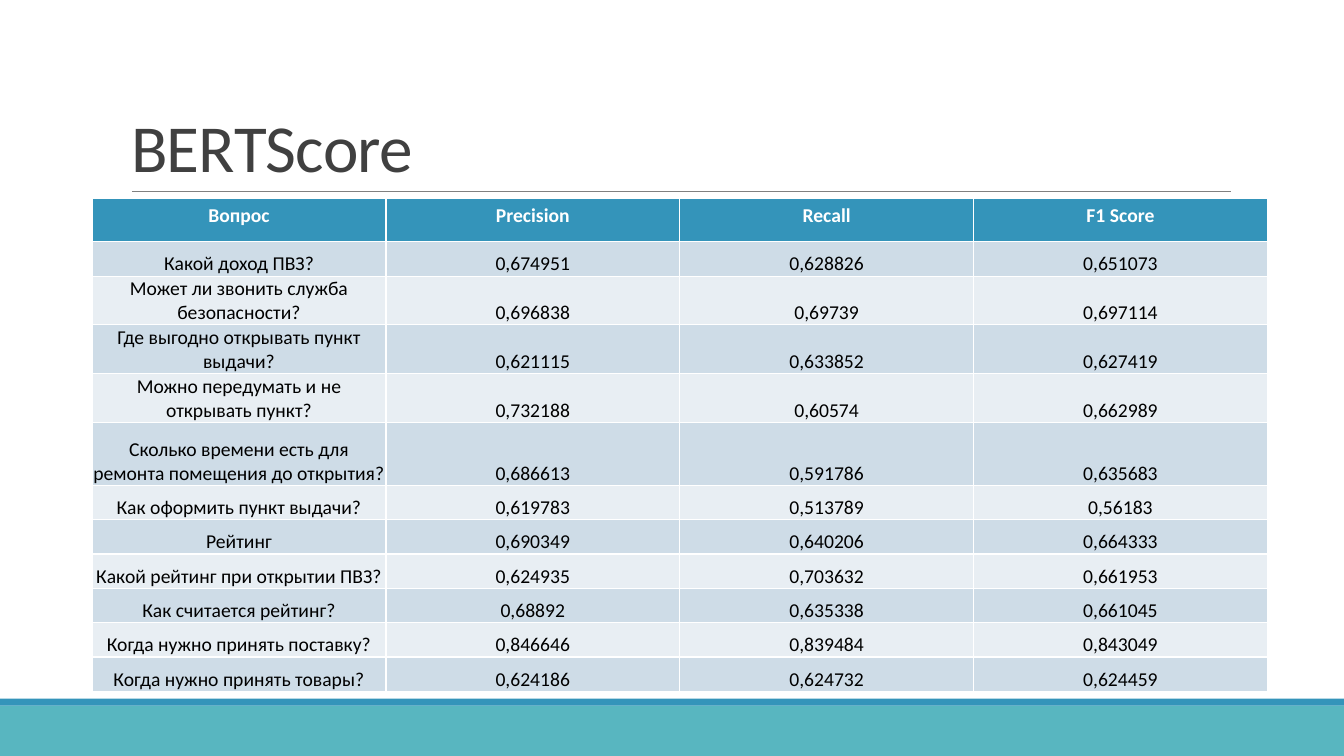
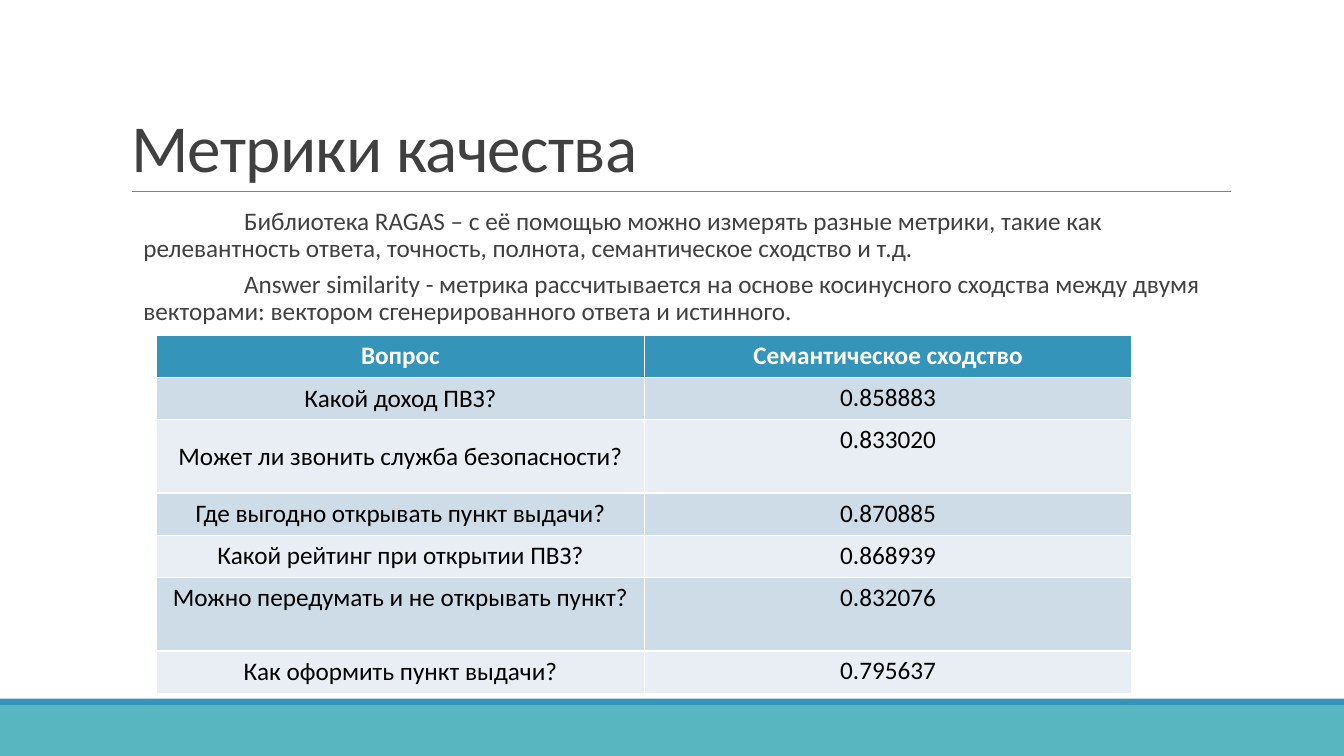
from dataclasses import dataclass

from lxml.etree import SubElement
from pptx import Presentation
from pptx.dml.color import RGBColor
from pptx.enum.shapes import MSO_CONNECTOR, MSO_SHAPE
from pptx.enum.text import MSO_ANCHOR, MSO_AUTO_SIZE, PP_ALIGN
from pptx.oxml.ns import qn
from pptx.presentation import Presentation as Deck
from pptx.slide import Slide
from pptx.text.text import Font
from pptx.util import Pt

WHITE = RGBColor(0xFF, 0xFF, 0xFF)
BLACK = RGBColor(0x00, 0x00, 0x00)
DARK_GRAY = RGBColor(0x40, 0x40, 0x40)
RULE_GRAY = RGBColor(0x80, 0x80, 0x80)
BLUE = RGBColor(0x34, 0x94, 0xBA)
TEAL = RGBColor(0x58, 0xB6, 0xC0)
ROW_TINTS = (RGBColor(0xCE, 0xDC, 0xE7), RGBColor(0xE8, 0xEE, 0xF3))

FONT = "Calibri"
SLIDE_WIDTH, SLIDE_HEIGHT = 960, 540
TITLE_ONLY = 5


@dataclass(frozen=True)
class Band:
    top: float
    height: float
    color: RGBColor


@dataclass(frozen=True)
class Row:
    height: float
    texts: tuple[str, ...]
    question_anchor: MSO_ANCHOR | None = None


@dataclass(frozen=True)
class ScoreTable:
    left: float
    top: float
    column_width: float
    font_size: float
    anchor: MSO_ANCHOR
    margins: dict[str, float]
    rows: tuple[Row, ...]


FOOTER_BANDS = (Band(504, 36, TEAL), Band(499, 5, BLUE))

LINE, TWO_LINES = 24.5, 34.7
BERT_SCORES = ScoreTable(
    left=65.8, top=141.8, column_width=209.9, font_size=14,
    anchor=MSO_ANCHOR.BOTTOM,
    margins={"margin_left": 0.7, "margin_top": 0.7,
             "margin_right": 0.7, "margin_bottom": 0},
    rows=(
        Row(31, ("Вопрос", "Precision", "Recall", "F1 Score")),
        Row(LINE, ("Какой доход ПВЗ?", "0,674951", "0,628826", "0,651073")),
        Row(TWO_LINES, ("Может ли звонить служба безопасности?",
                        "0,696838", "0,69739", "0,697114")),
        Row(TWO_LINES, ("Где выгодно открывать пункт выдачи?",
                        "0,621115", "0,633852", "0,627419")),
        Row(TWO_LINES, ("Можно передумать и не открывать пункт?",
                        "0,732188", "0,60574", "0,662989")),
        Row(45.2, ("Сколько времени есть для ремонта помещения до открытия?",
                   "0,686613", "0,591786", "0,635683")),
        Row(LINE, ("Как оформить пункт выдачи?", "0,619783", "0,513789", "0,56183")),
        Row(LINE, ("Рейтинг", "0,690349", "0,640206", "0,664333")),
        Row(LINE, ("Какой рейтинг при открытии ПВЗ?",
                   "0,624935", "0,703632", "0,661953")),
        Row(LINE, ("Как считается рейтинг?", "0,68892", "0,635338", "0,661045")),
        Row(LINE, ("Когда нужно принять поставку?",
                   "0,846646", "0,839484", "0,843049")),
        Row(LINE, ("Когда нужно принять товары?",
                   "0,624186", "0,624732", "0,624459")),
    ),
)

LOW, TALL = 30.2, 52.4
SIMILARITY_SCORES = ScoreTable(
    left=111.8, top=239.4, column_width=348.4, font_size=18,
    anchor=MSO_ANCHOR.TOP,
    margins={},
    rows=(
        Row(LOW, ("Вопрос", "Семантическое сходство")),
        Row(LOW, ("Какой доход ПВЗ?", "0.858883"), MSO_ANCHOR.MIDDLE),
        Row(TALL, ("Может ли звонить служба безопасности?", "0.833020"),
            MSO_ANCHOR.MIDDLE),
        Row(LOW, ("Где выгодно открывать пункт выдачи?", "0.870885")),
        Row(LOW, ("Какой рейтинг при открытии ПВЗ?", "0.868939")),
        Row(TALL, ("Можно передумать и не открывать пункт?", "0.832076")),
        Row(LOW, ("Как оформить пункт выдачи?", "0.795637"), MSO_ANCHOR.MIDDLE),
    ),
)

METRIC_NOTES = (
    "Библиотека RAGAS – с её помощью можно измерять разные метрики, такие как "
    "релевантность ответа, точность, полнота, семантическое сходство и т.д.",
    "Answer similarity - метрика рассчитывается на основе косинусного сходства "
    "между двумя векторами: вектором сгенерированного ответа и истинного.",
)


def set_all(target: object, values: dict[str, object]) -> None:
    for name, value in values.items():
        setattr(target, name, value)


def style_font(font: Font, size: float, color: RGBColor, bold: bool = False) -> None:
    set_all(font, {"name": FONT, "size": Pt(size), "bold": bold})
    font.color.rgb = color


def add_title(slide: Slide, text: str) -> None:
    title = slide.shapes.title
    set_all(title, {"left": Pt(86.4), "top": Pt(22.6),
                    "width": Pt(792), "height": Pt(114.2)})
    frame = title.text_frame
    set_all(frame, {"auto_size": MSO_AUTO_SIZE.NONE, "word_wrap": True,
                    "vertical_anchor": MSO_ANCHOR.BOTTOM})
    paragraph = frame.paragraphs[0]
    set_all(paragraph, {"alignment": PP_ALIGN.LEFT, "line_spacing": 0.85})
    run = paragraph.add_run()
    run.text = text
    style_font(run.font, 48, DARK_GRAY)
    run._r.get_or_add_rPr().set("spc", "-50")


def add_slide(deck: Deck, title: str) -> Slide:
    """Add a slide with the shared title, title rule and footer bands."""
    slide = deck.slides.add_slide(deck.slide_layouts[TITLE_ONLY])
    for band in FOOTER_BANDS:
        bar = slide.shapes.add_shape(MSO_SHAPE.RECTANGLE, 0, Pt(band.top),
                                     Pt(SLIDE_WIDTH), Pt(band.height))
        bar.shadow.inherit = False
        bar.fill.solid()
        bar.fill.fore_color.rgb = band.color
        bar.line.fill.background()
    rule = slide.shapes.add_connector(MSO_CONNECTOR.STRAIGHT, Pt(94.3), Pt(136.8),
                                      Pt(879.1), Pt(136.8))
    rule.line.color.rgb = RULE_GRAY
    rule.line.width = Pt(0.5)
    SubElement(rule._element.spPr, qn("a:effectLst"))
    add_title(slide, title)
    return slide


def add_notes_text(slide: Slide, notes: tuple[str, ...]) -> None:
    """Add body paragraphs whose first lines are indented."""
    box = slide.shapes.add_textbox(Pt(86.4), Pt(145.4), Pt(792), Pt(92))
    frame = box.text_frame
    set_all(frame, {"word_wrap": True, "margin_left": 0, "margin_right": 0})
    for index, note in enumerate(notes):
        paragraph = frame.add_paragraph() if index else frame.paragraphs[0]
        paragraph.text = note
        set_all(paragraph, {"line_spacing": 0.9, "space_before": Pt(2),
                            "space_after": Pt(4)})
        style_font(paragraph.runs[0].font, 18, DARK_GRAY)
        properties = paragraph._p.get_or_add_pPr()
        properties.set("marL", str(Pt(16)))
        properties.set("indent", str(Pt(72)))


def add_score_table(slide: Slide, scores: ScoreTable) -> None:
    column_count = len(scores.rows[0].texts)
    table = slide.shapes.add_table(
        len(scores.rows), column_count, Pt(scores.left), Pt(scores.top),
        Pt(scores.column_width * column_count),
        Pt(sum(row.height for row in scores.rows))).table
    for column in table.columns:
        column.width = Pt(scores.column_width)
    for row_index, row in enumerate(scores.rows):
        table.rows[row_index].height = Pt(row.height)
        is_header = row_index == 0
        for column_index, text in enumerate(row.texts):
            cell = table.cell(row_index, column_index)
            cell.fill.solid()
            cell.fill.fore_color.rgb = BLUE if is_header else ROW_TINTS[(row_index - 1) % 2]
            if not is_header:
                anchor = row.question_anchor if column_index == 0 else None
                cell.vertical_anchor = anchor or scores.anchor
                set_all(cell, {side: Pt(size) for side, size in scores.margins.items()})
            paragraph = cell.text_frame.paragraphs[0]
            paragraph.text = text
            paragraph.alignment = PP_ALIGN.CENTER
            style_font(paragraph.runs[0].font, scores.font_size,
                       WHITE if is_header else BLACK, is_header)


def main() -> None:
    deck = Presentation()
    set_all(deck, {"slide_width": Pt(SLIDE_WIDTH), "slide_height": Pt(SLIDE_HEIGHT)})

    add_score_table(add_slide(deck, "BERTScore"), BERT_SCORES)

    metrics = add_slide(deck, "Метрики качества")
    add_notes_text(metrics, METRIC_NOTES)
    add_score_table(metrics, SIMILARITY_SCORES)

    deck.save("out.pptx")


if __name__ == "__main__":
    main()
